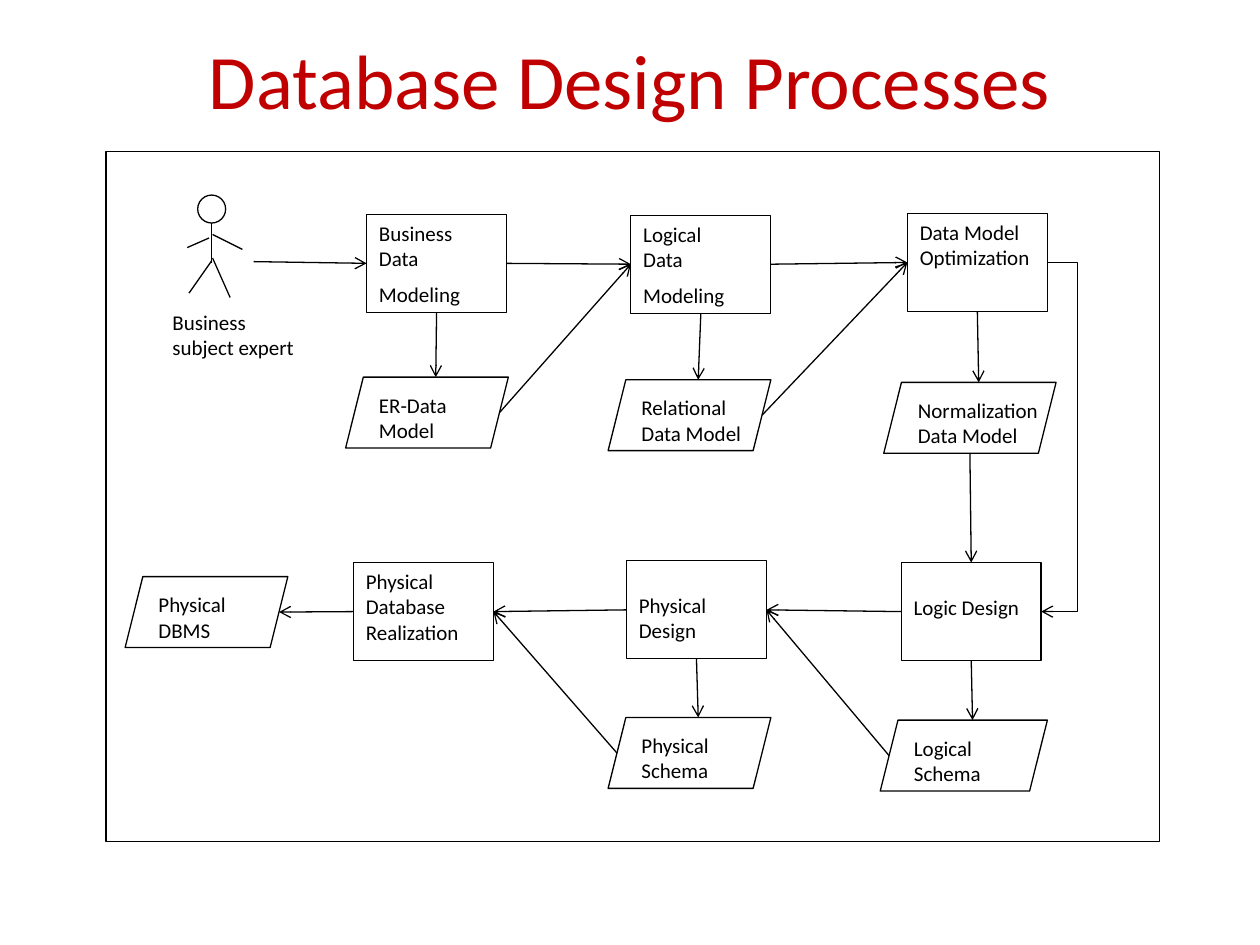
from lxml import etree
from pptx import Presentation
from pptx import util as u
from pptx.dml.color import RGBColor
from pptx.enum import shapes, text
from pptx.oxml.ns import qn

COLORS = {"title": "C00000", "ink": "000000", "paper": "FFFFFF"}
RECT = shapes.MSO_SHAPE.RECTANGLE
SLANTED = shapes.MSO_SHAPE.PARALLELOGRAM
OVAL = shapes.MSO_SHAPE.OVAL
LEAN = 5  # half the slant of a parallelogram, in points


def color(name):
    return RGBColor.from_string(COLORS[name])


def write_text(frame, content, size=12, ink="ink", align=text.PP_ALIGN.LEFT,
               anchor=text.MSO_ANCHOR.TOP, wrap=False, top=3.6, last_gap=0):
    """Write one paragraph per line; last_gap is the space before the last one."""
    frame.word_wrap = wrap
    frame.vertical_anchor = anchor
    frame.margin_left = frame.margin_right = u.Pt(7.2)
    frame.margin_top, frame.margin_bottom = u.Pt(top), u.Pt(3.6)
    for index, line in enumerate(content.split("\n")):
        para = frame.add_paragraph() if index else frame.paragraphs[0]
        para.alignment = align
        span = para.add_run()
        span.text = line
        span.font.name, span.font.size = "Calibri", u.Pt(size)
        span.font.color.rgb = color(ink)
    if last_gap:
        para.space_before = u.Pt(last_gap)


def anchor_point(box, side):
    """Middle of one side of a box, in points, on its slanted edge if it has one."""
    left, top = box.left.pt, box.top.pt
    width, height = box.width.pt, box.height.pt
    lean = LEAN if box.auto_shape_type == SLANTED else 0
    return {"top": (left + width / 2 + lean, top),
            "bottom": (left + width / 2, top + height),
            "left": (left + lean, top + height / 2),
            "right": (left + width - lean, top + height / 2)}[side]


class Diagram:
    line_width = 0.75

    def __init__(self, slide):
        self.shapes = slide.shapes

    def title(self, content, x, y, width, height):
        box = self.shapes.add_textbox(*map(u.Pt, (x, y, width, height)))
        write_text(box.text_frame, content, size=44, ink="title", wrap=True,
                   align=text.PP_ALIGN.CENTER, anchor=text.MSO_ANCHOR.MIDDLE)

    def box(self, kind, x, y, width, height, content="", filled=True,
            outlined=True, **style):
        box = self.shapes.add_shape(kind, *map(u.Pt, (x, y, width, height)))
        box.shadow.inherit = False
        if filled:
            box.fill.solid()
            box.fill.fore_color.rgb = color("paper")
        else:
            box.fill.background()
        if outlined:
            self.outline(box.line)
        else:
            box.line.fill.background()
        if content:
            write_text(box.text_frame, content, **style)
        return box

    def process(self, x, y, content, **style):
        return self.box(RECT, x, y, 80, 56, content, **style)

    def product(self, x, y, content, width=93):
        return self.box(SLANTED, x, y, width, 40.5, content)

    def line(self, start, end, arrow=False, kind=shapes.MSO_CONNECTOR.STRAIGHT):
        line = self.shapes.add_connector(kind, *map(u.Pt, (*start, *end)))
        self.outline(line.line)
        properties = line._element.spPr
        if arrow:
            etree.SubElement(properties.find(qn("a:ln")), qn("a:tailEnd"), type="arrow")
        etree.SubElement(properties, qn("a:effectLst"))
        return line

    def detour(self, start, end, reach):
        """Elbow arrow that swings out to the right by reach points."""
        line = self.line(start, end, True, shapes.MSO_CONNECTOR.ELBOW)
        ratio = reach / (end[0] - start[0])
        guides = line._element.spPr.find(qn("a:prstGeom")).get_or_add_avLst()
        etree.SubElement(guides, qn("a:gd"), name="adj1",
                         fmla=f"val {round(ratio * 100000)}")

    def outline(self, line):
        line.width = u.Pt(self.line_width)
        line.color.rgb = color("ink")


def main():
    deck = Presentation()
    deck.slide_width, deck.slide_height = u.Pt(720), u.Pt(540)
    page = Diagram(deck.slides.add_slide(deck.slide_layouts[6]))
    page.title("Database Design Processes", 36, 0, 648, 90)

    # Business expert: head, body, arms and legs
    page.box(OVAL, 113, 111.5, 16, 16)
    for start, end in [((121, 127.5), (121, 150.5)),
                       ((119.5, 136), (107, 141.5)),
                       ((121.5, 134), (138.5, 142.5)),
                       ((121, 149), (108, 167.5)),
                       ((121.5, 147.5), (131.5, 170))]:
        page.line(start, end)
    page.box(RECT, 91.5, 173.5, 83.5, 36, "Business\nsubject expert", outlined=False)

    # Processes; a larger top inset drops the text by one line
    nodes = {
        "business": page.process(209.5, 122.5, "Business\nData\nModeling", last_gap=6),
        "logical": page.process(360.5, 123, "Logical\nData\nModeling", last_gap=6),
        "optimization": page.process(518.5, 122, "Data Model\nOptimization"),
        "logic": page.process(515, 321.5, "Logic Design", top=18.2),
        "physical": page.process(358, 320.5, "Physical\nDesign", top=18.2),
        "realization": page.process(202, 321.5, "Physical\nDatabase\nRealization"),
        # Products
        "er": page.product(197.5, 215.5, "ER-Data\nModel"),
        "relational": page.product(347.5, 217, "Relational\nData Model"),
        "normalized": page.product(505, 218.5, "Normalization\nData Model", 98.5),
        "logical schema": page.product(503, 411.5, "Logical\nSchema", 95.5),
        "physical schema": page.product(347.5, 410, "Physical\nSchema"),
        "dbms": page.product(71.5, 329.5, "Physical\nDBMS"),
    }

    # Flow
    page.line((145, 149.5), anchor_point(nodes["business"], "left"), arrow=True)
    routes = [
        ("right", "left", [("business", "logical"), ("logical", "optimization"),
                           ("er", "logical"), ("relational", "optimization")]),
        ("bottom", "top", [("business", "er"), ("logical", "relational"),
                           ("optimization", "normalized"), ("normalized", "logic"),
                           ("logic", "logical schema"),
                           ("physical", "physical schema")]),
        ("left", "right", [("logic", "physical"), ("physical", "realization"),
                           ("logical schema", "physical"),
                           ("physical schema", "realization"),
                           ("realization", "dbms")]),
    ]
    for leave, enter, pairs in routes:
        for source, target in pairs:
            page.line(anchor_point(nodes[source], leave),
                      anchor_point(nodes[target], enter), arrow=True)
    page.detour(anchor_point(nodes["optimization"], "right"),
                anchor_point(nodes["logic"], "right"), reach=17.5)

    # Frame
    page.box(RECT, 60.5, 86.5, 602, 394.5, filled=False)
    deck.save("out.pptx")


if __name__ == "__main__":
    main()
